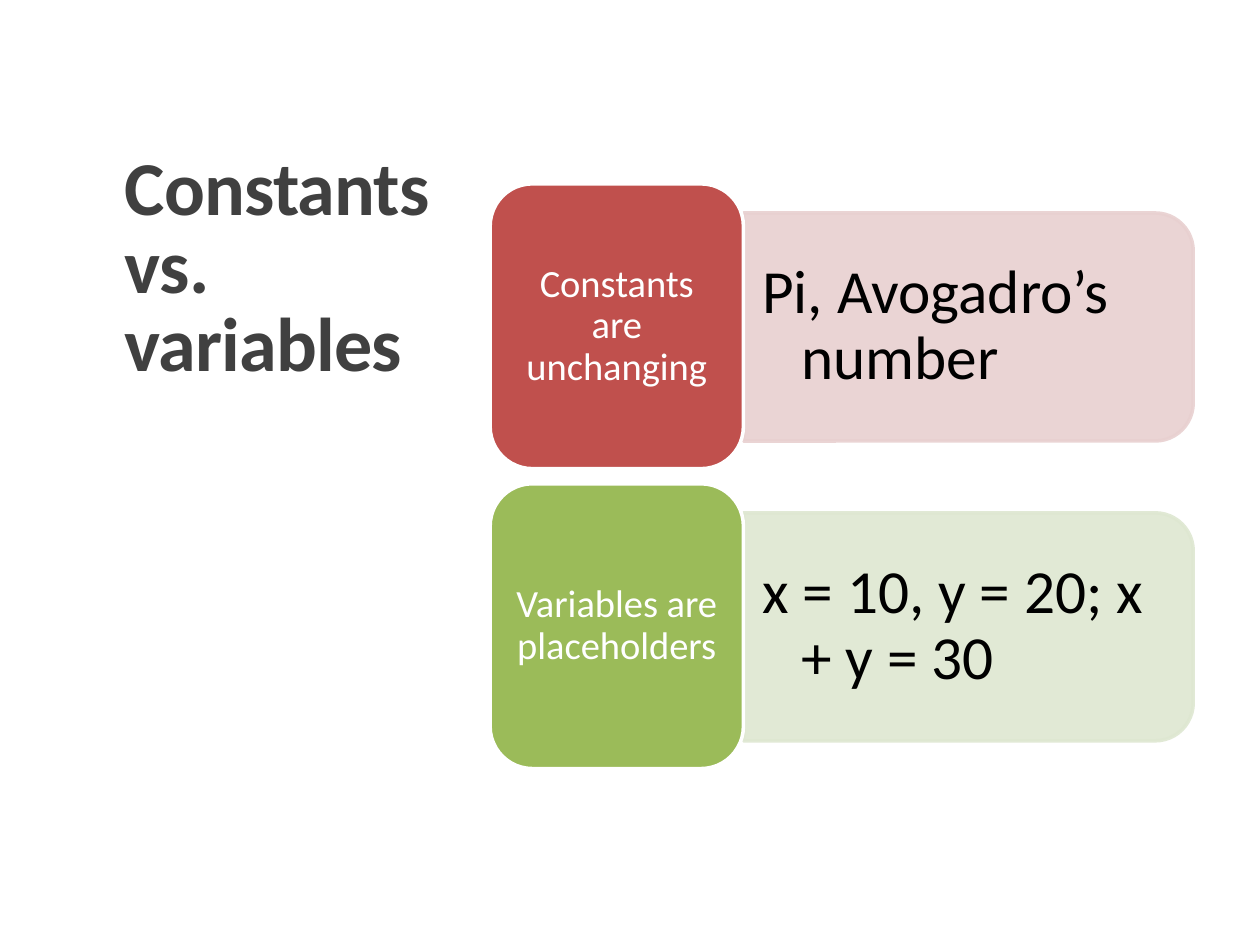
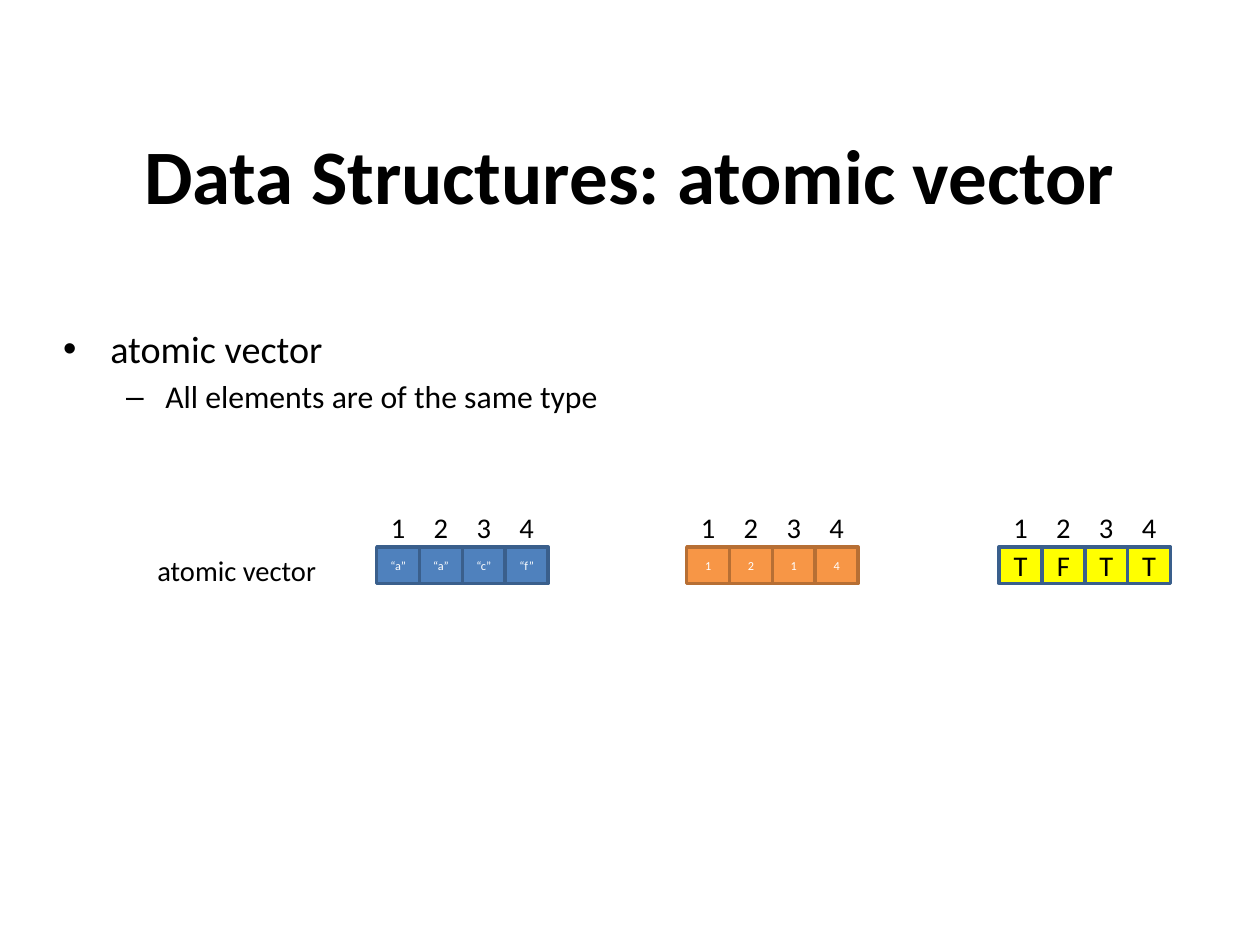
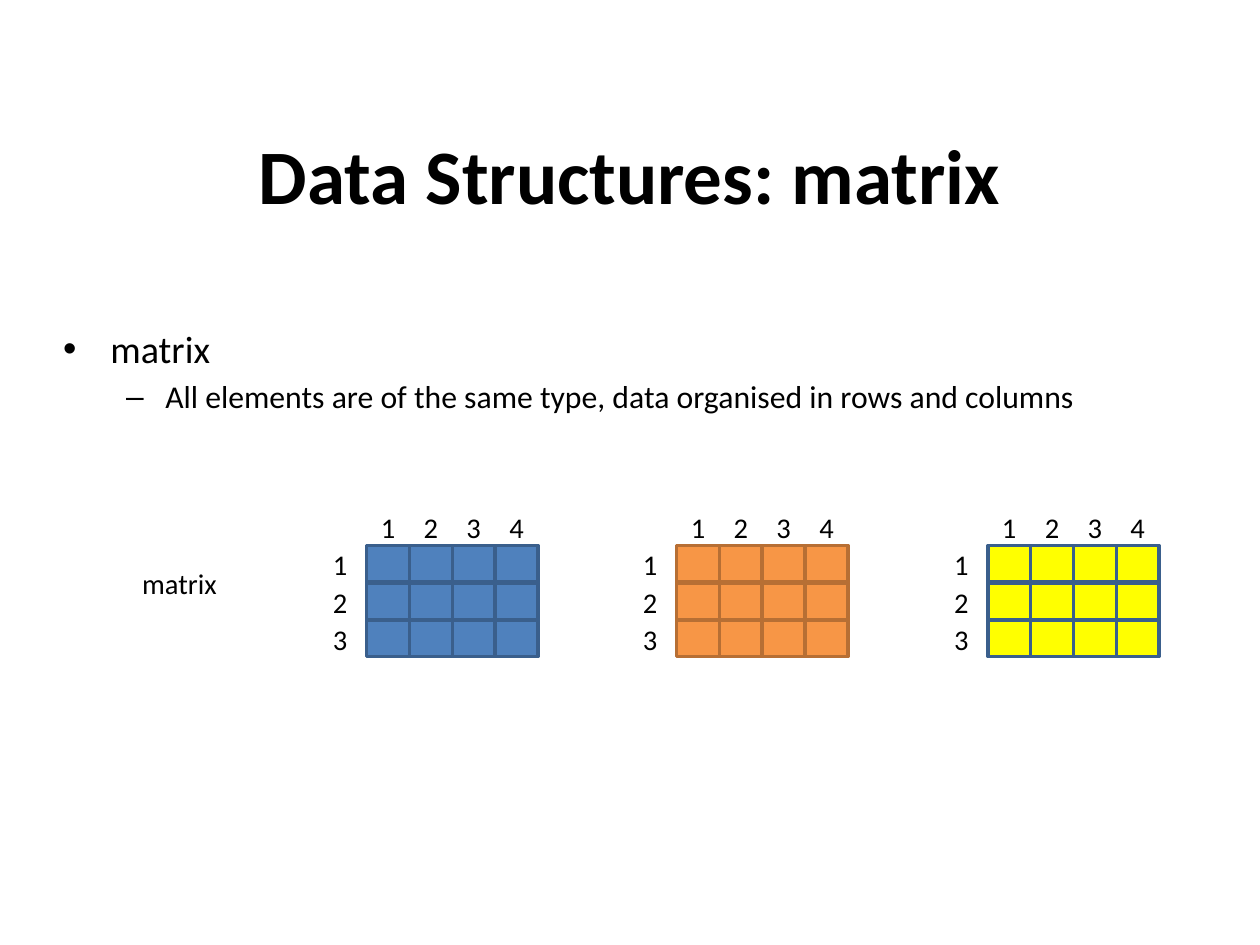
"""Build three slides on constants, variables, atomic vectors and matrices."""
from lxml import etree
from pptx import Presentation
from pptx.dml.color import RGBColor
from pptx.enum.shapes import MSO_SHAPE
from pptx.enum.text import MSO_ANCHOR, MSO_AUTO_SIZE, PP_ALIGN
from pptx.oxml.ns import qn
from pptx.util import Inches, Pt

RECT, ROUNDED = MSO_SHAPE.RECTANGLE, MSO_SHAPE.ROUNDED_RECTANGLE
TOP_ROUNDED = MSO_SHAPE.ROUND_2_SAME_RECTANGLE
LEFT, CENTER = PP_ALIGN.LEFT, PP_ALIGN.CENTER
TOP, MIDDLE = MSO_ANCHOR.TOP, MSO_ANCHOR.MIDDLE
FIXED, GROW = MSO_AUTO_SIZE.NONE, MSO_AUTO_SIZE.SHAPE_TO_FIT_TEXT

FONT = "Calibri"
BLACK, WHITE, CHARCOAL = "000000", "FFFFFF", "404040"
RED, PALE_RED, GREEN, PALE_GREEN = "C0504D", "E8D0D0", "9BBB59", "DEE7D1"
BLUE, DARK_BLUE, ORANGE, DARK_ORANGE, YELLOW = "4F81BD", "3A5F8C", "F79646", "B76F34", "FFFF00"
LABEL_SIZE = 16.3
CELL_WIDTH, CELL_HEIGHT, ROW_PITCH = 0.34, 0.29, 0.59 / 2
LABEL_HEIGHT, LABEL_PITCH = 0.38, 0.3


def write(holder, text, size, color=BLACK, align=LEFT, anchor=TOP, fit=FIXED, insets=(0.1, 0.05), bold=False):
    frame = holder.text_frame
    frame.text = text
    frame.word_wrap = True
    frame.auto_size = fit
    frame.vertical_anchor = anchor
    frame.margin_left = frame.margin_right = Inches(insets[0])
    frame.margin_top = frame.margin_bottom = Inches(insets[1])
    paragraph = frame.paragraphs[0]
    paragraph.alignment = align
    font = paragraph.runs[0].font
    font.name, font.size, font.bold = FONT, Pt(size), bold
    font.color.rgb = RGBColor.from_string(color)
    return paragraph


def add_block(slide, kind, box, fill, outline):
    block = slide.shapes.add_shape(kind, *map(Inches, box))
    block.shadow.inherit = False
    block.fill.solid()
    block.fill.fore_color.rgb = RGBColor.from_string(fill)
    block.line.color.rgb = RGBColor.from_string(outline)
    block.line.width = Pt(2)
    return block


deck = Presentation()
deck.slide_width, deck.slide_height = Inches(10), Inches(7.5)

slide = deck.slides.add_slide(deck.slide_layouts[5])
comparison = [
    ("Constants are unchanging", "Pi, Avogadro’s number", RED, PALE_RED),
    ("Variables are placeholders", "x = 10, y = 20; x + y = 30", GREEN, PALE_GREEN),
]
for index, (term, example, strong, pale) in enumerate(comparison):
    top = 1.46 + 2.38 * index
    panel = add_block(slide, TOP_ROUNDED, (6.78, top - 0.65, 1.81, 3.57), pale, pale)
    panel.rotation = 90
    for color in panel.fill._xPr.iter(qn("a:srgbClr")):
        etree.SubElement(color, qn("a:alpha"), val="90000")
    example_box = slide.shapes.add_textbox(*map(Inches, (5.9, top + 0.32, 3.48, 1.63)))
    paragraph = write(example_box, example, 35, anchor=MIDDLE, insets=(0.15, 0.07))
    paragraph.line_spacing = 0.9
    properties = paragraph._p.get_or_add_pPr()
    properties.set("marL", str(Inches(0.31)))
    properties.set("indent", str(Inches(-0.31)))
    add_block(slide, ROUNDED, (3.89, top, 2.01, 2.26), strong, WHITE)
    term_box = slide.shapes.add_textbox(*map(Inches, (3.99, top + 0.1, 1.81, 2.06)))
    write(term_box, term, 22, WHITE, CENTER, MIDDLE, insets=(0.09, 0.05)).line_spacing = 0.9

title = slide.shapes.title
title.left, title.top, title.width, title.height = map(Inches, (0.9, 1.17, 2.83, 4.97))
heading = write(title, "Constants vs. variables", 43.5, CHARCOAL, insets=(0.09, 0.05), bold=True)
heading.line_spacing = 0.85
heading.runs[0].font._element.set("spc", "-50")

structures = [
    {
        "name": "atomic vector", "detail": "All elements are of the same type",
        "body_height": 1.1, "name_box": (1.15, 4.34, 1.49, 0.38), "top": 4.34, "row_labels": False,
        "grids": [
            (2.99, BLUE, DARK_BLUE, WHITE, 7, [["“a”", "“a”", "“c”", "“f”"]]),
            (5.45, ORANGE, DARK_ORANGE, WHITE, 7, [["1", "2", "1", "4"]]),
            (7.93, YELLOW, DARK_BLUE, BLACK, LABEL_SIZE, [["T", "F", "T", "T"]]),
        ],
    },
    {
        "name": "matrix", "detail": "All elements are of the same type, data organised in rows and columns",
        "body_height": 1.47, "name_box": (1.03, 4.44, 1.52, 0.38), "top": 4.33, "row_labels": True,
        "grids": [
            (2.91, BLUE, DARK_BLUE, WHITE, 7, [[""] * 4] * 3),
            (5.37, ORANGE, DARK_ORANGE, WHITE, 7, [[""] * 4] * 3),
            (7.84, YELLOW, DARK_BLUE, BLACK, LABEL_SIZE, [[""] * 4] * 3),
        ],
    },
]
for structure in structures:
    slide = deck.slides.add_slide(deck.slide_layouts[1])
    title, body = slide.shapes.title, slide.placeholders[1]
    title.left, title.top, title.width, title.height = map(Inches, (0.5, 0.75, 9, 1.25))
    write(title, "Data Structures: " + structure["name"], 44, align=CENTER, anchor=MIDDLE, insets=(0, 0), bold=True)
    body.left, body.top, body.width, body.height = map(Inches, (0.5, 2.58, 9, structure["body_height"]))
    write(body, structure["name"], 21.8, insets=(0, 0))
    detail = body.text_frame.add_paragraph()
    detail.text = structure["detail"]
    detail.level = 1
    detail_font = detail.runs[0].font
    detail_font.name, detail_font.size = FONT, Pt(18.1)
    detail_font.color.rgb = RGBColor.from_string(BLACK)

    name_box = slide.shapes.add_textbox(*map(Inches, structure["name_box"]))
    write(name_box, structure["name"], LABEL_SIZE, fit=GROW)

    for left, fill, outline, ink, size, rows in structure["grids"]:
        for row, values in enumerate(rows):
            for column, value in enumerate(values):
                position = (left + CELL_WIDTH * column, structure["top"] + ROW_PITCH * row)
                cell = add_block(slide, RECT, (*position, CELL_WIDTH, CELL_HEIGHT), fill, outline)
                if value:
                    write(cell, value, size, ink, CENTER, MIDDLE)
        labels = [(left + CELL_WIDTH * column, 4, column + 1) for column in range(4)]
        if structure["row_labels"]:
            labels += [(left - 0.38, 4.29 + LABEL_PITCH * row, row + 1) for row in range(len(rows))]
        for label_left, label_top, number in labels:
            label = slide.shapes.add_textbox(*map(Inches, (label_left, label_top, CELL_WIDTH, LABEL_HEIGHT)))
            write(label, str(number), LABEL_SIZE, align=CENTER, fit=GROW)

deck.save("out.pptx")
